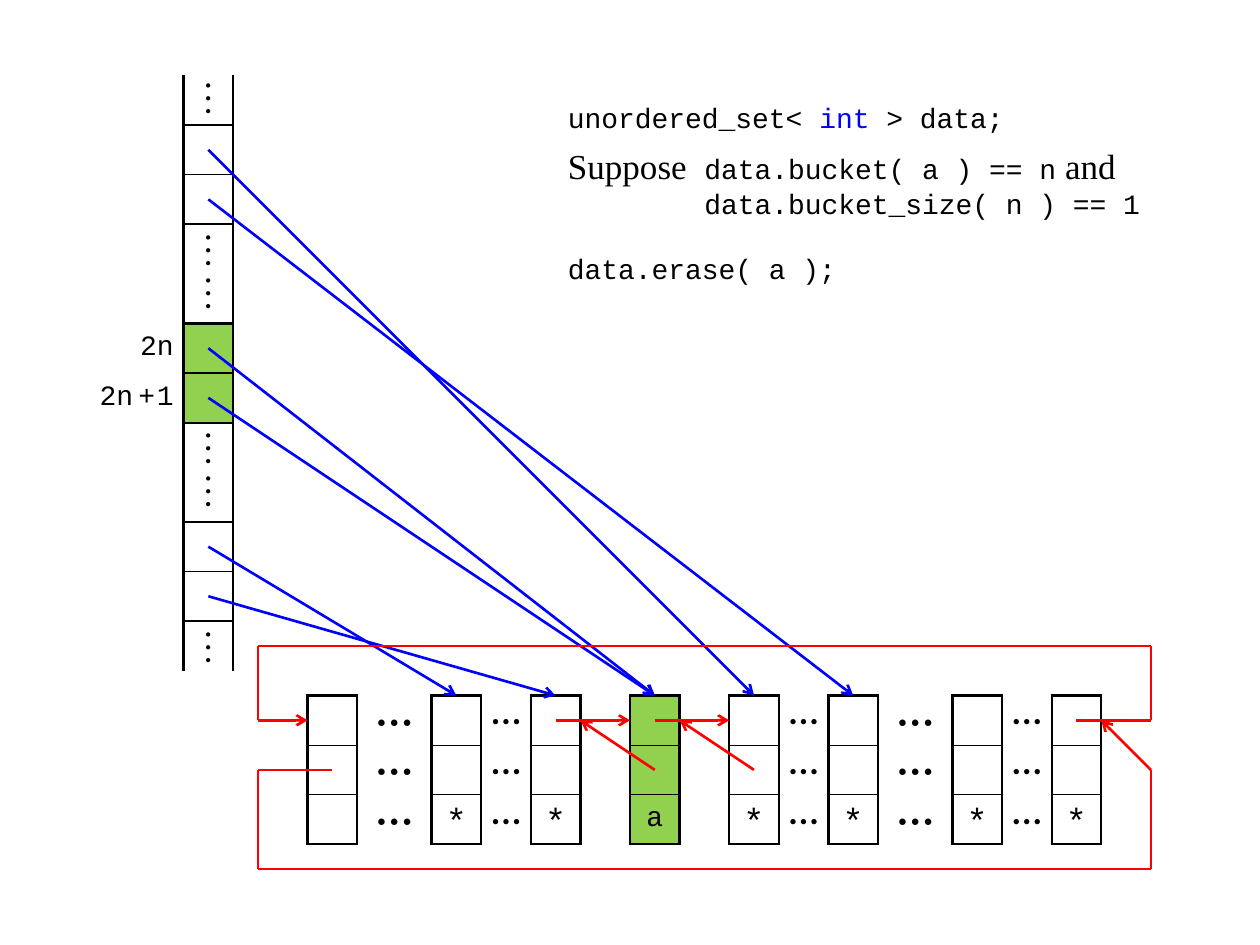
import itertools

import pptx
import pptx.dml.color
import pptx.enum.shapes
import pptx.enum.text
import pptx.oxml
import pptx.oxml.ns
import pptx.util

Cm = pptx.util.Cm
Pt = pptx.util.Pt
ALIGN = pptx.enum.text.PP_ALIGN
ANCHOR = pptx.enum.text.MSO_ANCHOR

COLORS = {"text": "000000", "keyword": "0000FF", "bucket": "0000FF",
          "link": "FF0000", "border": "000000", "selected": "92D050"}
CODE, SERIF = "Courier New", "Times New Roman"
THICK, THIN = 1.5, 0.75
COLUMN_LEFT, COLUMN_TOP = 1.7, 1.52
LIST_TOP = 14.02
NEXT_Y, PREVIOUS_Y = LIST_TOP + 0.5, LIST_TOP + 1.5
LOOP_LEFT, LOOP_RIGHT, LOOP_TOP, LOOP_BOTTOM = 5.2, 23.2, 13.02, 17.52


def rgb(name):
    """Return the named color."""
    return pptx.dml.color.RGBColor.from_string(COLORS[name])


def write_text(paragraph, text, size=16, font=CODE, color="text", bold=False, spacing=0):
    """Append a formatted run to a paragraph."""
    run = paragraph.add_run()
    run.text = text
    run.font.size = Pt(size)
    run.font.name = font
    run.font.bold = bold
    run.font.color.rgb = rgb(color)
    if spacing:
        run._r.get_or_add_rPr().set("spc", str(spacing * 100))


def add_grid(slide, left, top, widths, row_count):
    """Add a plain table of one-centimetre rows and return it."""
    frame = slide.shapes.add_table(row_count, len(widths), Cm(left), Cm(top),
                                   Cm(sum(widths)), Cm(row_count))
    table = frame.table
    table.first_row = table.horz_banding = False
    for column, width in zip(table.columns, widths):
        column.width = Cm(width)
    for row in table.rows:
        row.height = Cm(1)
    return table


def style_cell(cell, left=0, right=0, top=0, bottom=0, fill=None):
    """Set border widths and fill, and remove the inner margins."""
    properties = cell._tc.get_or_add_tcPr()
    for side, width in zip("LRTB", (left, right, top, bottom)):
        paint = (f'<a:solidFill><a:srgbClr val="{COLORS["border"]}"/></a:solidFill>'
                 if width else "<a:noFill/>")
        properties.append(pptx.oxml.parse_xml(
            f'<a:ln{side} {pptx.oxml.ns.nsdecls("a")} w="{int(Pt(width))}">{paint}</a:ln{side}>'))
    if fill:
        cell.fill.solid()
        cell.fill.fore_color.rgb = rgb(fill)
    else:
        cell.fill.background()
    cell.margin_left = cell.margin_right = cell.margin_top = cell.margin_bottom = 0


def fill_cell(cell, text, anchor=ANCHOR.MIDDLE, **text_format):
    """Write centred text in a cell."""
    cell.vertical_anchor = anchor
    paragraph = cell.text_frame.paragraphs[0]
    paragraph.alignment = ALIGN.CENTER
    write_text(paragraph, text, **text_format)


def add_bucket_column(slide):
    """Add the hash table column with its index labels."""
    bottoms = [THICK, THIN, THICK, 0, THICK, THIN, THICK, 0, THICK, THIN, THICK, 0]
    dots = {0: ANCHOR.MIDDLE, 3: ANCHOR.BOTTOM, 4: ANCHOR.TOP,
            7: ANCHOR.BOTTOM, 8: ANCHOR.TOP, 11: ANCHOR.BOTTOM}
    labels = {5: [("2n", 0)], 6: [("2", 0), ("n", 3), ("+", 1), ("1", 0)]}
    table = add_grid(slide, COLUMN_LEFT, COLUMN_TOP, [2, 1], len(bottoms))
    for row, (top, bottom) in enumerate(itertools.pairwise([0] + bottoms)):
        label, bucket = table.cell(row, 0), table.cell(row, 1)
        style_cell(label, right=THICK)
        style_cell(bucket, THICK, THICK, top, bottom, "selected" if row in labels else None)
        if row in dots:
            fill_cell(bucket, "⋮", dots[row], size=22, font=SERIF)
        if row in labels:
            label.vertical_anchor = ANCHOR.MIDDLE
            label.margin_right = Cm(0.2)
            paragraph = label.text_frame.paragraphs[0]
            paragraph.alignment = ALIGN.RIGHT
            for text, spacing in labels[row]:
                write_text(paragraph, text, spacing=spacing)


def add_node(slide, left, value):
    """Add a list node of next, previous and value cells."""
    table = add_grid(slide, left, LIST_TOP, [1], 3)
    fill = "selected" if value == "a" else None
    for row, (top, bottom) in enumerate(itertools.pairwise([THICK, THIN, THIN, THICK])):
        style_cell(table.cell(row, 0), THICK, THICK, top, bottom, fill)
    if value == "*":
        fill_cell(table.cell(2, 0), value, ANCHOR.BOTTOM, size=20)
    elif value:
        fill_cell(table.cell(2, 0), value)


def add_ellipsis(slide, left, width, size):
    """Add three rows of dots between nodes."""
    table = add_grid(slide, left, LIST_TOP, [width], 3)
    for row in range(3):
        style_cell(table.cell(row, 0))
        fill_cell(table.cell(row, 0), "⋯", size=size, font=SERIF, bold=True)


def add_arrow(slide, points, color):
    """Draw straight connectors through points with a head at the last one."""
    for start, end in itertools.pairwise(points):
        connector = slide.shapes.add_connector(
            pptx.enum.shapes.MSO_CONNECTOR.STRAIGHT, *map(Cm, start + end))
        connector.line.width = Pt(THICK)
        connector.line.color.rgb = rgb(color)
        connector._element.spPr.append(
            pptx.oxml.parse_xml(f'<a:effectLst {pptx.oxml.ns.nsdecls("a")}/>'))
    connector.line._get_or_add_ln().append(
        pptx.oxml.parse_xml(f'<a:tailEnd {pptx.oxml.ns.nsdecls("a")} type="arrow"/>'))


def add_code(slide):
    """Add the code and its assumptions."""
    frame = slide.shapes.add_textbox(Cm(11.2), Cm(2.03), Cm(12.5), Cm(4)).text_frame
    frame.word_wrap = True
    frame.margin_top = frame.margin_bottom = 0
    serif = {"size": 20, "font": SERIF}
    content = [
        (6, [("unordered_set< ", {}), ("int", {"color": "keyword"}), (" > data;", {})]),
        (6, [("Suppose\t", serif), ("data.bucket( a ) == n", {}), (" and ", serif),
             ("data.bucket_size( n ) == 1", {})]),
        (18, [("data.erase( a );", {})]),
    ]
    for index, (space, runs) in enumerate(content):
        paragraph = frame.add_paragraph() if index else frame.paragraphs[0]
        paragraph.space_before = Pt(space)
        for text, text_format in runs:
            write_text(paragraph, text, **text_format)
    properties = frame.paragraphs[1]._p.get_or_add_pPr()
    properties.set("marL", str(int(Cm(2.75))))
    properties.set("indent", str(int(Cm(-2.75))))


def main():
    """Build the slide and save it."""
    presentation = pptx.Presentation()
    presentation.slide_width, presentation.slide_height = Cm(25.4), Cm(19.05)
    slide = presentation.slides.add_slide(presentation.slide_layouts[6])
    add_bucket_column(slide)
    add_code(slide)

    for left, value in [(6.2, ""), (8.7, "*"), (10.7, "*"), (12.7, "a"),
                        (14.7, "*"), (16.7, "*"), (19.2, "*"), (21.2, "*")]:
        add_node(slide, left, value)
    for left, width, size in [(7.2, 1.5, 22), (9.7, 1, 18), (15.7, 1, 18),
                              (17.7, 1.5, 22), (20.2, 1, 18)]:
        add_ellipsis(slide, left, width, size)

    for row, target in [(1, 15.2), (2, 17.2), (5, 13.2), (6, 13.2), (9, 9.2), (10, 11.2)]:
        start = (COLUMN_LEFT + 2.5, COLUMN_TOP + row + 0.5)
        add_arrow(slide, [start, (target, LIST_TOP)], "bucket")

    for center in (11.2, 13.2):
        add_arrow(slide, [(center, NEXT_Y), (center + 1.5, NEXT_Y)], "link")
        add_arrow(slide, [(center + 2, PREVIOUS_Y), (center + 0.5, NEXT_Y)], "link")
    add_arrow(slide, [(21.7, NEXT_Y), (LOOP_RIGHT, NEXT_Y), (LOOP_RIGHT, LOOP_TOP),
                      (LOOP_LEFT, LOOP_TOP), (LOOP_LEFT, NEXT_Y), (6.2, NEXT_Y)], "link")
    add_arrow(slide, [(6.7, PREVIOUS_Y), (LOOP_LEFT, PREVIOUS_Y), (LOOP_LEFT, LOOP_BOTTOM),
                      (LOOP_RIGHT, LOOP_BOTTOM), (LOOP_RIGHT, PREVIOUS_Y), (22.2, NEXT_Y)], "link")
    presentation.save("out.pptx")


if __name__ == "__main__":
    main()
